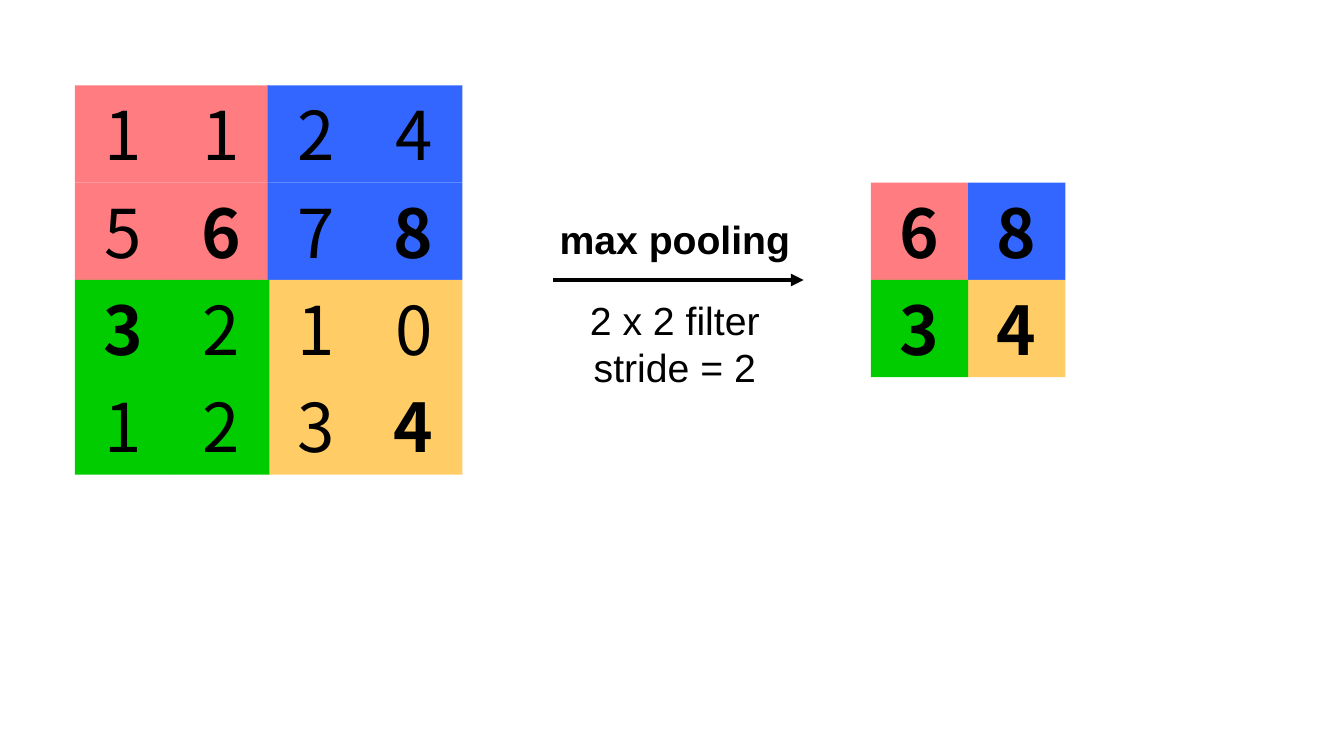
from dataclasses import dataclass

from lxml import etree
from pptx import Presentation, util as u
from pptx.dml import color
from pptx.enum import shapes, text
from pptx.oxml import ns

CELL = 69.5
INPUT_TOP = 61
OUTPUT_LEFT, OUTPUT_TOP = 622, INPUT_TOP + CELL
LEFT_BLOCK, RIGHT_BLOCK = 53.5, 191.25
LOWER_BLOCK = INPUT_TOP + 2 * CELL
ARROW_LEFT, ARROW_RIGHT = 395.25, 574
LABEL_LEFT, LABEL_WIDTH = 390.25, 183.5
BLACK = "000000"


@dataclass(frozen=True)
class Block:
    fill: str
    left: float
    top: float
    values: tuple[int, ...]
    output_column: int
    output_row: int


@dataclass(frozen=True)
class Label:
    lines: tuple[str, ...]
    top: float
    height: float
    bold: bool


BLOCKS = (
    Block("FF7C80", LEFT_BLOCK, INPUT_TOP, (1, 1, 5, 6), 0, 0),
    Block("3366FF", RIGHT_BLOCK, INPUT_TOP, (2, 4, 7, 8), 1, 0),
    Block("FFCC66", RIGHT_BLOCK, LOWER_BLOCK, (1, 0, 3, 4), 1, 1),
    Block("00CC00", LEFT_BLOCK, LOWER_BLOCK, (3, 2, 1, 2), 0, 1),
)
LABELS = (
    Label(("max pooling",), 150.5, 41, True),
    Label(("2 x 2 filter", "stride = 2"), 208, 75, False),
)


def rgb(value: str) -> color.RGBColor:
    return color.RGBColor.from_string(value)


def write(paragraph, content: str, *, font: str, size: float, bold: bool) -> None:
    paragraph.alignment = text.PP_ALIGN.CENTER
    run = paragraph.add_run()
    run.text = content
    run.font.name = font
    run.font.size = u.Pt(size)
    run.font.bold = bold
    run.font.color.rgb = rgb(BLACK)


def draw_cell(parent, left: float, top: float, fill: str, value: int, bold: bool) -> None:
    shape = parent.add_shape(
        shapes.MSO_SHAPE.RECTANGLE, u.Pt(left), u.Pt(top), u.Pt(CELL), u.Pt(CELL)
    )
    shape.shadow.inherit = False
    shape.fill.solid()
    shape.fill.fore_color.rgb = rgb(fill)
    shape.line.fill.background()
    shape.text_frame.vertical_anchor = text.MSO_ANCHOR.MIDDLE
    write(shape.text_frame.paragraphs[0], str(value),
          font="Noto Sans CJK KR", size=48, bold=bold)


def draw_input_block(slide, block: Block) -> None:
    group = slide.shapes.add_group_shape()
    for index, value in enumerate(block.values):
        row, column = divmod(index, 2)
        draw_cell(group.shapes, block.left + column * CELL, block.top + row * CELL,
                  block.fill, value, value == max(block.values))


def draw_output_cell(slide, block: Block) -> None:
    draw_cell(slide.shapes, OUTPUT_LEFT + block.output_column * CELL,
              OUTPUT_TOP + block.output_row * CELL,
              block.fill, max(block.values), True)


def draw_arrow(slide) -> None:
    arrow = slide.shapes.add_connector(
        shapes.MSO_CONNECTOR.STRAIGHT,
        u.Pt(ARROW_LEFT), u.Pt(LOWER_BLOCK), u.Pt(ARROW_RIGHT), u.Pt(LOWER_BLOCK),
    )
    arrow.line.width = u.Pt(3)
    arrow.line.color.rgb = rgb(BLACK)
    line = arrow.line._get_or_add_ln()
    etree.SubElement(line, ns.qn("a:tailEnd"), type="triangle")
    etree.SubElement(arrow._element.spPr, ns.qn("a:effectLst"))


def draw_label(slide, label: Label) -> None:
    box = slide.shapes.add_textbox(
        u.Pt(LABEL_LEFT), u.Pt(label.top), u.Pt(LABEL_WIDTH), u.Pt(label.height)
    )
    frame = box.text_frame
    frame.word_wrap = True
    frame.auto_size = text.MSO_AUTO_SIZE.SHAPE_TO_FIT_TEXT
    for index, line in enumerate(label.lines):
        paragraph = frame.add_paragraph() if index else frame.paragraphs[0]
        write(paragraph, line, font="Arial", size=28, bold=label.bold)


def main() -> None:
    presentation = Presentation()
    presentation.slide_width = u.Pt(960)
    presentation.slide_height = u.Pt(540)
    slide = presentation.slides.add_slide(presentation.slide_layouts[6])
    for block in BLOCKS:
        draw_input_block(slide, block)
    for block in BLOCKS:
        draw_output_cell(slide, block)
    draw_arrow(slide)
    for label in LABELS:
        draw_label(slide, label)
    presentation.save("out.pptx")


if __name__ == "__main__":
    main()
